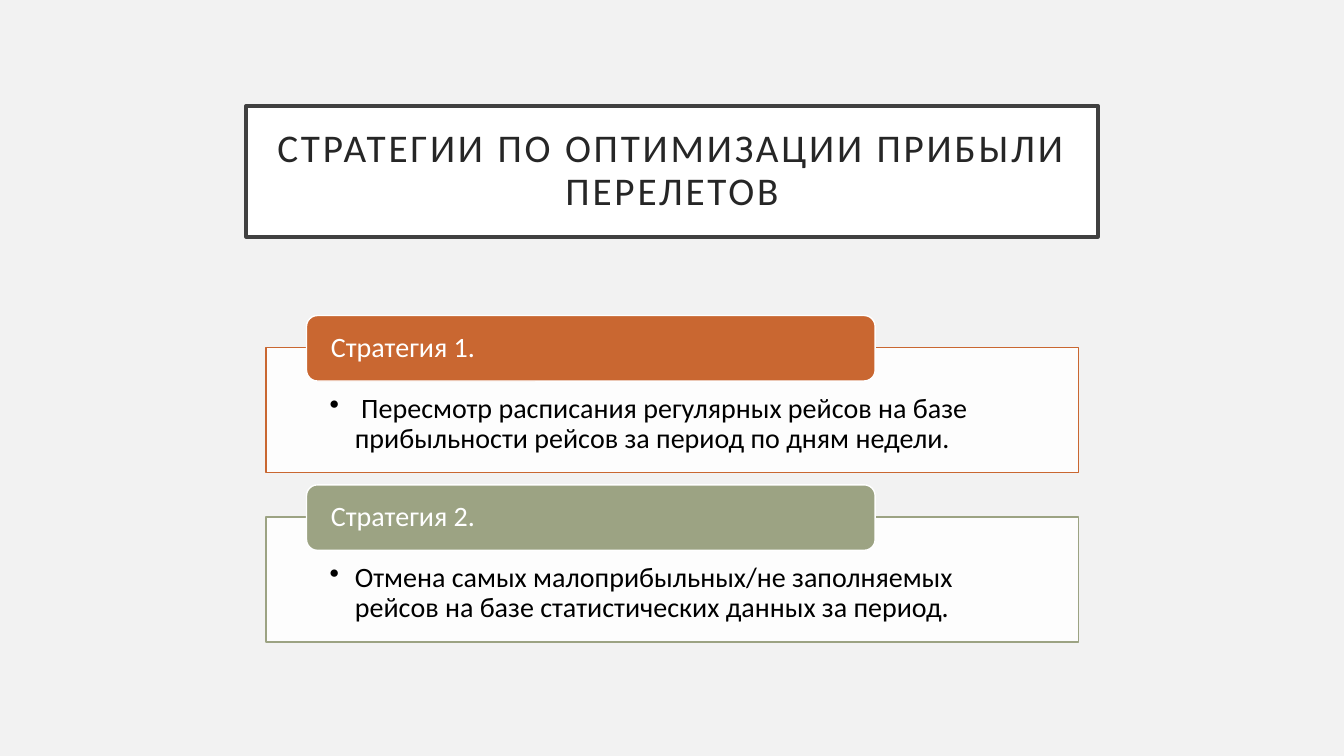
from lxml.etree import SubElement
from pptx import Presentation
from pptx.dml.color import RGBColor
from pptx.enum.shapes import MSO_SHAPE
from pptx.enum.text import MSO_ANCHOR, PP_ALIGN
from pptx.oxml.ns import qn
from pptx.util import Emu, Pt

PX = 9144
FONT = "Calibri"
STRATEGY_PITCH = 168
STRATEGIES = [
    ("Стратегия 1.",
     " Пересмотр расписания регулярных рейсов на базе прибыльности рейсов за период по дням недели.",
     "C96731"),
    ("Стратегия 2.",
     "Отмена самых малоприбыльных/не заполняемых рейсов на базе статистических данных за период.",
     "9CA383"),
]


def px(n):
    return Emu(n * PX)


def paint(color_format, value):
    color_format.rgb = RGBColor.from_string(value)


def add_box(s, kind, box, fill, line, width):
    sp = s.shapes.add_shape(kind, *map(px, box))
    sp.shadow.inherit = False
    sp.fill.solid()
    paint(sp.fill.fore_color, fill)
    paint(sp.line.color, line)
    sp.line.width = Pt(width)
    return sp


def set_text(sp, text, size, color, insets, anchor, align=PP_ALIGN.LEFT):
    tf = sp.text_frame
    tf.word_wrap = True
    tf.vertical_anchor = anchor
    tf.margin_left, tf.margin_top, tf.margin_right, tf.margin_bottom = map(px, insets)
    p = tf.paragraphs[0]
    p.text = text
    p.alignment = align
    p.line_spacing = 0.9
    p.font.name = FONT
    p.font.size = Pt(size)
    paint(p.font.color, color)
    return p


def add_bullet(p, indent):
    pPr = p._p.get_or_add_pPr()
    pPr.set("marL", str(px(indent)))
    pPr.set("indent", str(-px(indent)))
    bullet = pPr.makeelement(qn("a:buChar"), {"char": "•"})
    pPr.insert_element_before(bullet, "a:tabLst", "a:defRPr", "a:extLst")


def set_opacity(sp, percent):
    color = sp.fill._xPr.find(qn("a:solidFill"))[0]
    SubElement(color, qn("a:alpha"), val=str(percent * 1000))


def add_title(s, text):
    sp = add_box(s, MSO_SHAPE.RECTANGLE, (244, 105, 845, 130), "FFFFFF", "404040", 2.5)
    p = set_text(sp, text, 28, "262626", (20, 20, 20, 20), MSO_ANCHOR.MIDDLE, PP_ALIGN.CENTER)
    for r in p.runs:
        r.font._element.set("spc", "200")


def add_strategy(s, top, name, text, color):
    panel = add_box(s, MSO_SHAPE.RECTANGLE, (264, top + 32, 806, 124), "FFFFFF", color, 1)
    set_opacity(panel, 90)
    p = set_text(panel, text, 20, "000000", (63, 46, 63, 16), MSO_ANCHOR.TOP)
    add_bullet(p, 25)
    tab = add_box(s, MSO_SHAPE.ROUNDED_RECTANGLE, (304, top, 564, 65), color, "FFFFFF", 1)
    set_text(tab, name, 20, "FFFFFF", (21, 0, 21, 0), MSO_ANCHOR.MIDDLE)


def main():
    prs = Presentation()
    prs.slide_width, prs.slide_height = px(1333), px(750)
    s = prs.slides.add_slide(prs.slide_layouts[6])
    s.background.fill.solid()
    paint(s.background.fill.fore_color, "F2F2F2")
    add_title(s, "СТРАТЕГИИ ПО ОПТИМИЗАЦИИ ПРИБЫЛИ ПЕРЕЛЕТОВ")
    for i, strategy in enumerate(STRATEGIES):
        add_strategy(s, 313 + i * STRATEGY_PITCH, *strategy)
    prs.save("out.pptx")


if __name__ == "__main__":
    main()
